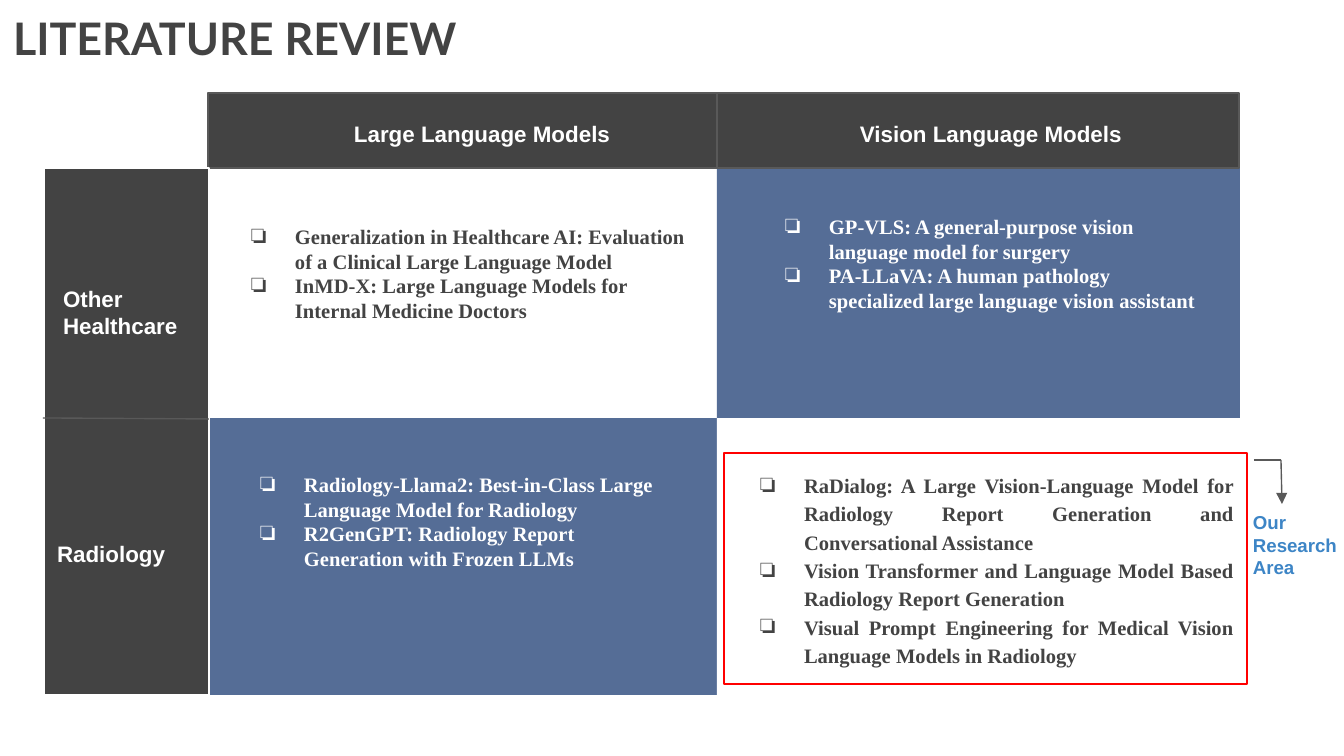
from lxml import etree
from pptx import Presentation
from pptx import util as u
from pptx.dml.color import RGBColor
from pptx.enum import shapes, text
from pptx.oxml.ns import qn

DARK, BLUE, WHITE, GREY = "434343", "556D96", "FFFFFF", "595959"
SERIF = "Times New Roman"
INSET = 13


def px(n):
    return u.Emu(round(n * 914400 / 134.4))


def rgb(code):
    return RGBColor.from_string(code)


def place(shape, box):
    shape.left, shape.top, shape.width, shape.height = map(px, box)


def set_line(line, color):
    line.color.rgb = rgb(color)
    line.width = u.Pt(0.75)


def set_font(par, name, size, color):
    font = par.font
    font.name, font.size, font.bold = name, u.Pt(size), True
    font.color.rgb = rgb(color)


def set_frame(shape, anchor):
    frame = shape.text_frame
    frame.word_wrap = True
    frame.auto_size = text.MSO_AUTO_SIZE.NONE
    frame.vertical_anchor = anchor
    frame.margin_left = frame.margin_right = px(INSET)
    frame.margin_top = frame.margin_bottom = px(INSET)
    return frame


def add_title(slide, words, box):
    shape = slide.shapes.title
    place(shape, box)
    frame = set_frame(shape, text.MSO_ANCHOR.MIDDLE)
    frame.text = words
    par = frame.paragraphs[0]
    par.alignment = text.PP_ALIGN.LEFT
    set_font(par, "Lato", 24, DARK)


def add_cell(slide, box, fill, line=None):
    cell = slide.shapes.add_shape(shapes.MSO_SHAPE.RECTANGLE, *map(px, box))
    cell.shadow.inherit = False
    cell.fill.solid()
    cell.fill.fore_color.rgb = rgb(fill)
    if line:
        set_line(cell.line, line)
    else:
        cell.line.fill.background()


def add_rule(slide, ends, arrow=False):
    rule = slide.shapes.add_connector(shapes.MSO_CONNECTOR.STRAIGHT, *map(px, ends))
    set_line(rule.line, GREY)
    if arrow:
        etree.SubElement(rule.line._get_or_add_ln(), qn("a:tailEnd"), type="triangle")
    etree.SubElement(rule.element.spPr, qn("a:effectLst"))


def add_label(slide, words, box, size=12, color=WHITE):
    label = slide.shapes.add_textbox(*map(px, box))
    frame = set_frame(label, text.MSO_ANCHOR.TOP)
    frame.text = words
    set_font(frame.paragraphs[0], "Arial", size, color)


def add_bullet(par, color):
    props = par._p.get_or_add_pPr()
    props.set("marL", str(px(67)))
    props.set("indent", str(px(-44)))
    tint = etree.SubElement(props, qn("a:buClr"))
    etree.SubElement(tint, qn("a:srgbClr"), val=color)
    etree.SubElement(props, qn("a:buFont"), typeface=SERIF)
    etree.SubElement(props, qn("a:buChar"), char="❏")


def fill_list(slide, idx, box, color, items, framed=False):
    body = next(p for p in slide.placeholders if p.placeholder_format.idx == idx)
    # Bring the list in front of the cells
    slide.shapes.element.append(body.element)
    place(body, box)
    anchor = text.MSO_ANCHOR.MIDDLE if framed else text.MSO_ANCHOR.TOP
    frame = set_frame(body, anchor)
    frame.text = "\n".join(items)
    for par in frame.paragraphs:
        add_bullet(par, color)
        par.alignment = text.PP_ALIGN.JUSTIFY if framed else text.PP_ALIGN.LEFT
        par.line_spacing = 1.15 if framed else 1.0
        par.space_before = u.Pt(0)
        set_font(par, SERIF, 11, color)
    if framed:
        set_line(body.line, "FF0000")


def main():
    deck = Presentation()
    deck.slide_width, deck.slide_height = px(1344), px(756)
    slide = deck.slides.add_slide(deck.slide_layouts[4])
    add_title(slide, "LITERATURE REVIEW", (0, 0, 667, 75))

    # Matrix cells and header bands
    add_cell(slide, (717, 168, 523, 254), BLUE)
    add_cell(slide, (208, 418, 509, 277), BLUE)
    add_cell(slide, (717, 418, 523, 277), WHITE)
    add_cell(slide, (208, 93, 1031, 75), DARK, GREY)
    add_cell(slide, (44, 168, 165, 527), DARK, WHITE)
    add_rule(slide, (717, 168, 717, 93))
    add_rule(slide, (209, 419, 43, 418))

    # Column and row names
    add_label(slide, "Large Language Models", (341, 107, 319, 30))
    add_label(slide, "Vision Language Models", (847, 107, 450, 30))
    add_label(slide, "Other Healthcare", (50, 272, 148, 83))
    add_label(slide, "Radiology", (44, 527, 148, 75))

    # Papers in each cell
    fill_list(slide, 1, (215, 211, 484, 190), DARK, [
        "Generalization in Healthcare AI: Evaluation of a Clinical Large Language Model",
        "InMD-X: Large Language Models for Internal Medicine Doctors"])
    fill_list(slide, 2, (749, 201, 460, 190), WHITE, [
        "GP-VLS: A general-purpose vision language model for surgery",
        "PA-LLaVA: A human pathology specialized large language vision assistant"])
    fill_list(slide, 3, (224, 459, 460, 190), WHITE, [
        "Radiology-Llama2: Best-in-Class Large Language Model for Radiology",
        "R2GenGPT: Radiology Report Generation with Frozen LLMs"])
    fill_list(slide, 4, (724, 453, 523, 231), DARK, [
        "RaDialog: A Large Vision-Language Model for Radiology Report Generation "
        "and Conversational Assistance",
        "Vision Transformer and Language Model Based Radiology Report Generation",
        "Visual Prompt Engineering for Medical Vision Language Models in Radiology",
    ], framed=True)

    # Pointer to the research area
    add_label(slide, "Our Research Area", (1240, 498, 113, 134), 10, "3D85C6")
    add_rule(slide, (1254, 460, 1281, 460))
    add_rule(slide, (1281, 460, 1282, 504), arrow=True)

    deck.save("out.pptx")


if __name__ == "__main__":
    main()
